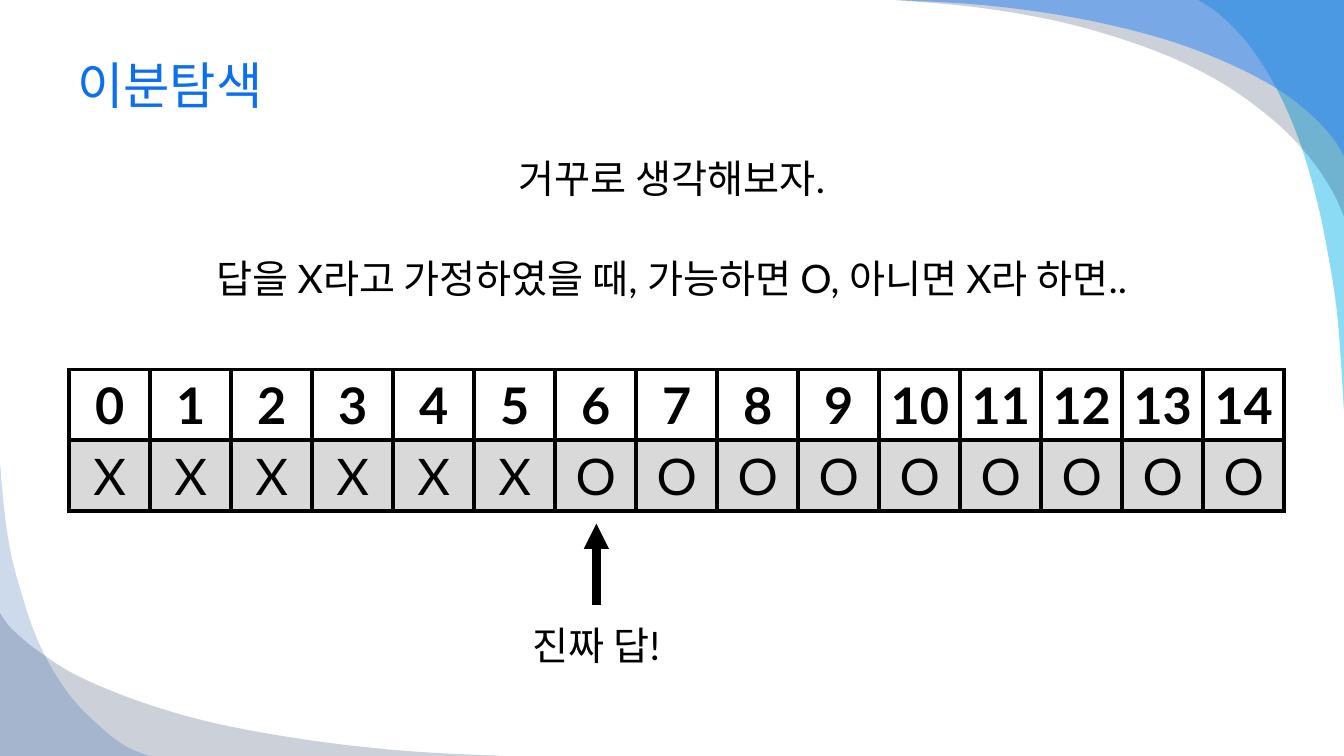
from lxml.etree import SubElement
from pptx import Presentation
from pptx.dml.color import RGBColor as RGB
from pptx.enum.shapes import MSO_CONNECTOR as CONN
from pptx.enum.text import MSO_ANCHOR as ANCHOR, PP_ALIGN as ALIGN
from pptx.oxml.ns import qn
from pptx.util import Pt

WIDTH, HEIGHT = 960, 540
COLORS = {
    "title": "0C6FF2", "ink": "000000", "paper": "FFFFFF", "gray": "D9D9D9",
    "cyan": "00B1E9", "navy": "021741", "blue": "247FF4", "royal": "084AA1",
}
TOP_RIGHT, BOTTOM_LEFT = (WIDTH, 0), (0, HEIGHT)
WAVES = [
    ("cyan", 45, TOP_RIGHT, [
        (856, 0), (872.6, 11.5), (892.8, 33), (911.5, 62.6), (927.4, 98.6),
        (939.6, 139), (948.2, 179.3), (955.4, 226.8), (960, 293.8)]),
    ("navy", 20, TOP_RIGHT, [
        (640, 0), (702, 5.8), (764.6, 17.3), (824.4, 36), (871.2, 58.3),
        (909.4, 85.7), (935.3, 112.3), (951.8, 136.8), (960, 154.8)]),
    ("blue", 49, TOP_RIGHT, [
        (640, 0), (702, 3.6), (765.4, 12.2), (825, 26), (871.2, 42.5),
        (910, 62), (936, 81.4), (952.6, 99.4), (960, 111.6)]),
    ("navy", 20, BOTTOM_LEFT, [
        (0, 437.8), (8.6, 449.3), (27.4, 465.1), (56.2, 483.1), (100, 501.1),
        (152, 516.2), (219.6, 528.5), (290.2, 536.4), (360, 540)]),
    ("royal", 20, BOTTOM_LEFT, [
        (0, 329.8), (2.9, 362.9), (7.2, 392.4), (13.7, 418.3), (24.5, 451.4),
        (37.4, 478), (54, 501.8), (74.9, 522), (90.7, 533.5), (106.6, 540)]),
]


def smooth(knots, steps=6):
    ends = [knots[0]] + knots + [knots[-1]]
    points = []
    for a, b, c, d in zip(ends, ends[1:], ends[2:], ends[3:]):
        for i in range(steps):
            t = i / steps
            points.append(tuple(
                q + t / 2 * (r - p + t * (2 * p - 5 * q + 4 * r - s
                                          + t * (3 * (q - r) + s - p)))
                for p, q, r, s in zip(a, b, c, d)))
    return points + [knots[-1]]


class Deck:
    font = "Lato"

    def __init__(self):
        self.prs = Presentation()
        self.prs.slide_width, self.prs.slide_height = Pt(WIDTH), Pt(HEIGHT)
        self.slide = self.prs.slides.add_slide(self.prs.slide_layouts[6])

    def color(self, name):
        return RGB.from_string(COLORS[name])

    def style(self, p, size, color="ink", align=ALIGN.CENTER, bold=False):
        p.alignment = align
        p.font.name, p.font.size, p.font.bold = self.font, Pt(size), bold
        p.font.color.rgb = self.color(color)

    def wave(self, color, opacity, corner, knots):
        points = [(Pt(x), Pt(y)) for x, y in smooth(knots)]
        builder = self.slide.shapes.build_freeform(*points[0])
        builder.add_line_segments(points[1:] + [(Pt(corner[0]), Pt(corner[1]))])
        sp = builder.convert_to_shape()
        sp.shadow.inherit = False
        sp.line.fill.background()
        sp.fill.solid()
        sp.fill.fore_color.rgb = self.color(color)
        srgb = sp.fill._xPr.find(".//" + qn("a:srgbClr"))
        SubElement(srgb, qn("a:alpha")).set("val", str(opacity * 1000))

    def text(self, box, lines, size, anchor=ANCHOR.TOP, gap=0, **style):
        tf = self.slide.shapes.add_textbox(*map(Pt, box)).text_frame
        tf.word_wrap, tf.vertical_anchor = True, anchor
        for i, line in enumerate(lines):
            p = tf.add_paragraph() if i else tf.paragraphs[0]
            p.text = line
            self.style(p, size, **style)
            if i:
                p.space_before = Pt(gap)

    def border(self, cell, width):
        tc_pr = cell._tc.get_or_add_tcPr()
        for i, side in enumerate(("lnL", "lnR", "lnT", "lnB")):
            ln = tc_pr.makeelement(qn("a:" + side), {"w": str(Pt(width))})
            fill = SubElement(ln, qn("a:solidFill"))
            SubElement(fill, qn("a:srgbClr")).set("val", COLORS["ink"])
            tc_pr.insert(i, ln)

    def table(self, box, rows, fills, size):
        n_rows, n_cols = len(rows), len(rows[0])
        table = self.slide.shapes.add_table(n_rows, n_cols, *map(Pt, box)).table
        table.first_row = table.horz_banding = False
        for col in table.columns:
            col.width = Pt(box[2] / n_cols)
        for i, (values, fill) in enumerate(zip(rows, fills)):
            table.rows[i].height = Pt(box[3] / n_rows)
            for j, value in enumerate(values):
                cell = table.cell(i, j)
                cell.text = str(value)
                cell.vertical_anchor = ANCHOR.MIDDLE
                cell.fill.solid()
                cell.fill.fore_color.rgb = self.color(fill)
                self.style(cell.text_frame.paragraphs[0], size, bold=i == 0)
                self.border(cell, 3)

    def arrow(self, start, end, width):
        cxn = self.slide.shapes.add_connector(CONN.STRAIGHT, *map(Pt, start + end))
        cxn.line.color.rgb = self.color("ink")
        cxn.line.width = Pt(width)
        SubElement(cxn.line._get_or_add_ln(), qn("a:tailEnd")).set("type", "triangle")
        SubElement(cxn._element.spPr, qn("a:effectLst"))


def main():
    deck = Deck()
    for wave in WAVES:
        deck.wave(*wave)
    deck.text((48, 24, 864, 72.5), ["이분탐색"], 36, ANCHOR.MIDDLE,
              color="title", align=ALIGN.LEFT)
    deck.text((48, 106.5, 864, 131), [
        "거꾸로 생각해보자.",
        "답을 X라고 가정하였을 때, 가능하면 O, 아니면 X라 하면..",
    ], 28, gap=38)
    deck.table((49.5, 264, 868, 101), [range(15), "X" * 6 + "O" * 9],
               ["paper", "gray"], 36)
    deck.arrow((426, 432), (426, 374), 6)
    deck.text((352, 440.5, 148, 49), ["진짜 답!"], 28)
    deck.prs.save("out.pptx")


if __name__ == "__main__":
    main()
